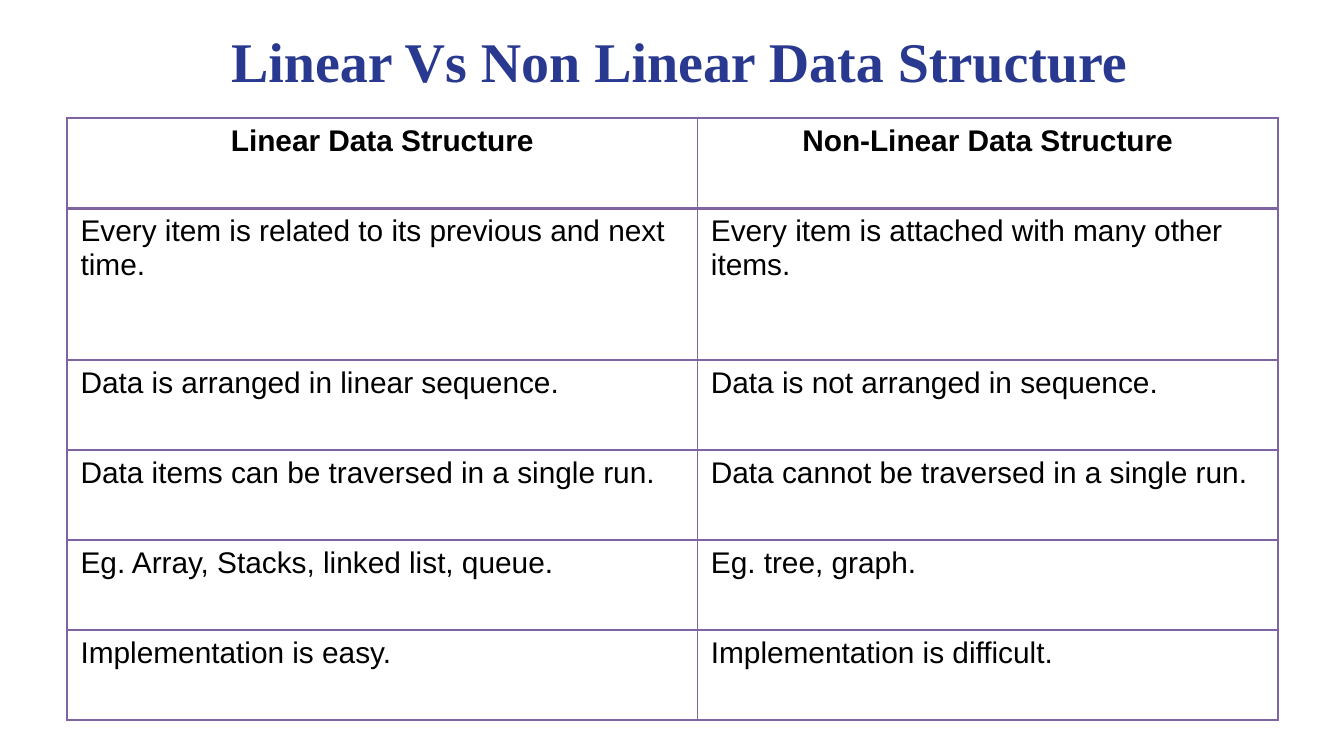
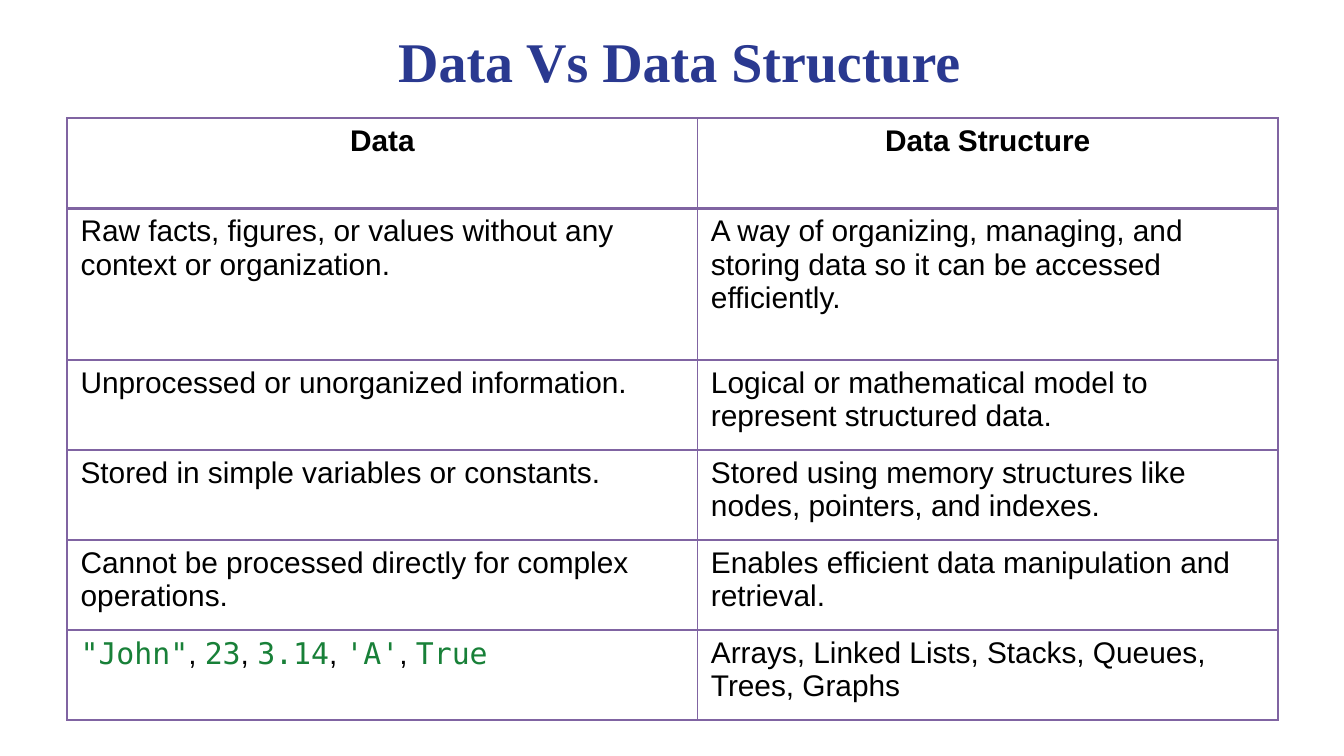
from lxml.etree import SubElement
from pptx import Presentation
from pptx.dml.color import RGBColor
from pptx.enum.text import MSO_ANCHOR, PP_ALIGN
from pptx.oxml.ns import qn
from pptx.util import Inches, Pt

NAVY = RGBColor(0x2A, 0x39, 0x90)
PURPLE = RGBColor(0x80, 0x64, 0xA2)
GREEN = RGBColor(0x18, 0x80, 0x38)
BLACK = RGBColor(0, 0, 0)

TITLE_FONT = "Times New Roman"
BODY_FONT = "Arial"
CODE_FONT = "DejaVu Sans Mono"
CODE_MARK = "`"

TITLE_BOX = (0.32, 0.1, 9.47, 0.7)
TABLE_ORIGIN = (0.5, 0.88)
COLUMN_WIDTHS = (4.69, 4.32)
ROW_HEIGHT = 0.67
FIRST_ROW_HEIGHT = 1.13

COMPARISONS = {
    "Linear Vs Non Linear Data Structure": [
        ("Linear Data Structure", "Non-Linear Data Structure"),
        ("Every item is related to its previous and next time.",
         "Every item is attached with many other items."),
        ("Data is arranged in linear sequence.", "Data is not arranged in sequence."),
        ("Data items can be traversed in a single run.",
         "Data cannot be traversed in a single run."),
        ("Eg. Array, Stacks, linked list, queue.", "Eg. tree, graph."),
        ("Implementation is easy.", "Implementation is difficult."),
    ],
    "Data Vs Data Structure": [
        ("Data", "Data Structure"),
        ("Raw facts, figures, or values without any context or organization.",
         "A way of organizing, managing, and storing data so it can be accessed efficiently."),
        ("Unprocessed or unorganized information.",
         "Logical or mathematical model to represent structured data."),
        ("Stored in simple variables or constants.",
         "Stored using memory structures like nodes, pointers, and indexes."),
        ("Cannot be processed directly for complex operations.",
         "Enables efficient data manipulation and retrieval."),
        ("`\"John\"`, `23`, `3.14`, `'A'`, `True`",
         "Arrays, Linked Lists, Stacks, Queues, Trees, Graphs"),
    ],
}


def write_text(text_frame, text, size=16, font=BODY_FONT, color=BLACK,
               bold=False, align=PP_ALIGN.LEFT):
    paragraph = text_frame.paragraphs[0]
    paragraph.alignment = align
    for index, part in enumerate(text.split(CODE_MARK)):
        if not part:
            continue
        is_code = index % 2 == 1
        run = paragraph.add_run()
        run.text = part
        run.font.size = Pt(size)
        run.font.bold = bold
        run.font.name = CODE_FONT if is_code else font
        run.font.color.rgb = GREEN if is_code else color


def set_borders(cell, bottom_width):
    properties = cell._tc.get_or_add_tcPr()
    for side, width in (("L", 1), ("R", 1), ("T", 1), ("B", bottom_width)):
        line = SubElement(properties, qn(f"a:ln{side}"), w=str(Pt(width)))
        fill = SubElement(line, qn("a:solidFill"))
        SubElement(fill, qn("a:srgbClr"), val=str(PURPLE))


def add_title(slide, text, box):
    title = slide.shapes.title
    title.left, title.top, title.width, title.height = map(Inches, box)
    frame = title.text_frame
    frame.margin_left = frame.margin_right = Inches(0.1)
    frame.margin_top = frame.margin_bottom = Inches(0.1)
    frame.vertical_anchor = MSO_ANCHOR.BOTTOM
    frame.word_wrap = True
    write_text(frame, text, size=30, font=TITLE_FONT, color=NAVY,
               bold=True, align=PP_ALIGN.CENTER)


def add_comparison_table(slide, rows, origin):
    heights = [ROW_HEIGHT] * len(rows)
    heights[1] = FIRST_ROW_HEIGHT
    box = (*origin, sum(COLUMN_WIDTHS), sum(heights))
    table = slide.shapes.add_table(len(rows), len(COLUMN_WIDTHS), *map(Inches, box)).table
    table.first_row = table.horz_banding = False
    for column, width in zip(table.columns, COLUMN_WIDTHS):
        column.width = Inches(width)
    for row_index, (row, height, texts) in enumerate(zip(table.rows, heights, rows)):
        row.height = Inches(height)
        is_header = row_index == 0
        for cell, text in zip(row.cells, texts):
            set_borders(cell, bottom_width=2 if is_header else 1)
            cell.fill.background()
            write_text(cell.text_frame, text, bold=is_header,
                       align=PP_ALIGN.CENTER if is_header else PP_ALIGN.LEFT)


def add_comparison_slide(presentation, title, rows):
    slide = presentation.slides.add_slide(presentation.slide_layouts.get_by_name("Title Only"))
    add_title(slide, title, TITLE_BOX)
    add_comparison_table(slide, rows, TABLE_ORIGIN)


def main():
    presentation = Presentation()
    presentation.slide_width = Inches(10)
    presentation.slide_height = presentation.slide_width * 9 // 16
    for title, rows in COMPARISONS.items():
        add_comparison_slide(presentation, title, rows)
    presentation.save("out.pptx")


if __name__ == "__main__":
    main()
